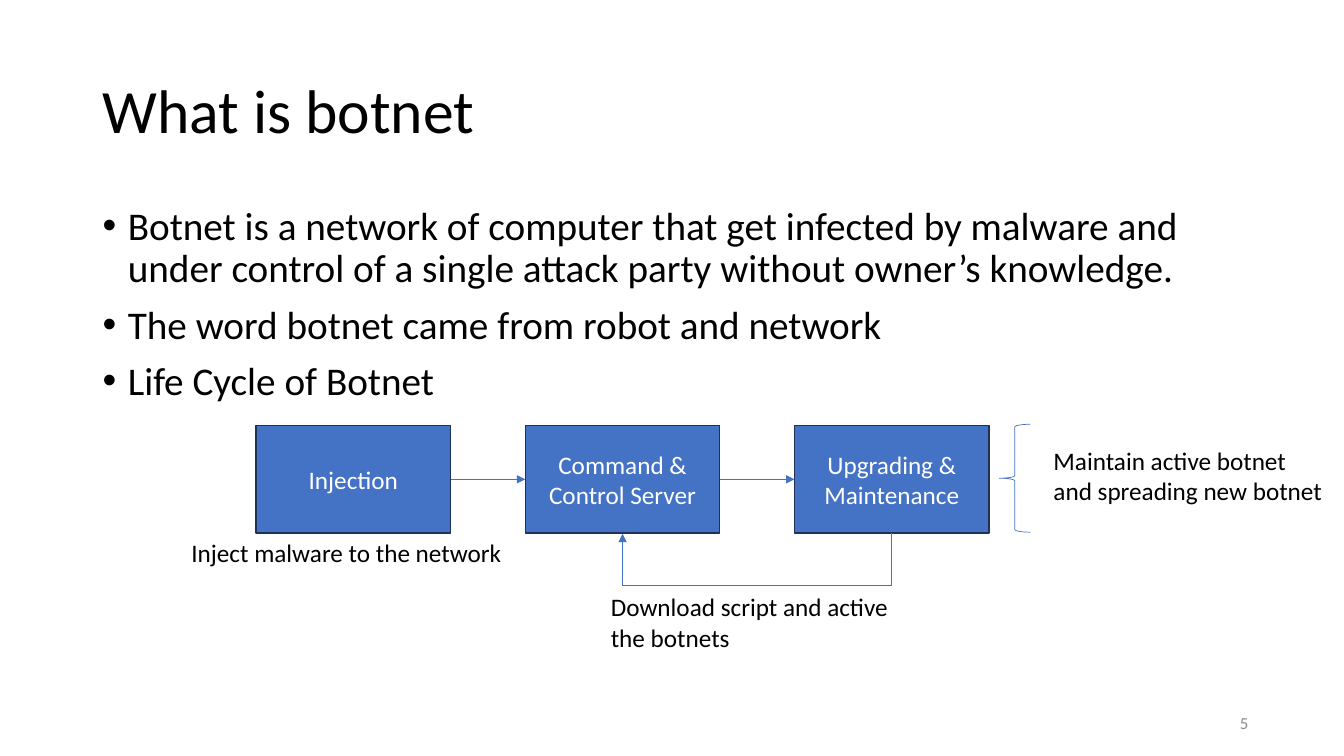
from itertools import pairwise
from pptx import Presentation
from pptx.dml.color import RGBColor
from pptx.enum.shapes import MSO_CONNECTOR, MSO_SHAPE
from pptx.enum.text import MSO_ANCHOR, PP_ALIGN
from pptx.oxml.ns import qn
from pptx.util import Inches, Pt
from lxml.etree import SubElement

BLACK = RGBColor(0x00, 0x00, 0x00)
WHITE = RGBColor(0xFF, 0xFF, 0xFF)
BLUE = RGBColor(0x44, 0x72, 0xC4)
NAVY = RGBColor(0x1E, 0x32, 0x56)
GRAY = RGBColor(0x8C, 0x8C, 0x8C)


class Deck:
    font = "Calibri"

    def __init__(self):
        self.prs = Presentation()
        self.prs.slide_width = Inches(13.33)
        self.prs.slide_height = Inches(7.5)
        self.slide = self.prs.slides.add_slide(self.prs.slide_layouts[6])

    def label(self, shape, lines, size=18, color=BLACK, align=PP_ALIGN.LEFT,
              anchor=MSO_ANCHOR.TOP, space=None, bullet=False):
        frame = shape.text_frame
        frame.word_wrap = True
        frame.vertical_anchor = anchor
        for num, line in enumerate(lines):
            para = frame.add_paragraph() if num else frame.paragraphs[0]
            para.alignment = align
            para.line_spacing = space
            run = para.add_run()
            run.text = line
            run.font.name = self.font
            run.font.size = Pt(size)
            run.font.color.rgb = color
            if bullet:
                self.dot(para)

    def dot(self, para):
        para.space_before = Pt(10)
        props = para._p.get_or_add_pPr()
        props.set("marL", str(Inches(0.25)))
        props.set("indent", str(-Inches(0.25)))
        SubElement(props, qn("a:buFont"), typeface="Arial")
        SubElement(props, qn("a:buChar"), char="•")

    def text(self, left, top, width, height, lines, **style):
        box = self.slide.shapes.add_textbox(
            Inches(left), Inches(top), Inches(width), Inches(height))
        self.label(box, lines, **style)

    def shape(self, kind, left, top, width, height, fill, edge, weight=1):
        shape = self.slide.shapes.add_shape(
            kind, Inches(left), Inches(top), Inches(width), Inches(height))
        shape.shadow.inherit = False
        if fill is None:
            shape.fill.background()
        else:
            shape.fill.solid()
            shape.fill.fore_color.rgb = fill
        shape.line.color.rgb = edge
        shape.line.width = Pt(weight)
        return shape

    def arrow(self, kind):
        link = self.slide.shapes.add_connector(kind, 0, 0, 0, 0)
        link.line.color.rgb = BLUE
        link.line.width = Pt(0.5)
        props = link._element.spPr
        SubElement(props.find(qn("a:ln")), qn("a:tailEnd"), type="triangle")
        SubElement(props, qn("a:effectLst"))
        return link

    def join(self, start, end):
        link = self.arrow(MSO_CONNECTOR.STRAIGHT)
        link.begin_connect(start, 3)
        link.end_connect(end, 1)

    def loop(self, start, end, drop):
        link = self.arrow(MSO_CONNECTOR.ELBOW)
        span = start.left - end.left
        thin = Inches(0.01)
        link.width, link.height = thin, span
        link.left = end.left + (end.width + span - thin) // 2
        link.top = end.top + end.height - span // 2
        props = link._element.spPr
        props.find(qn("a:xfrm")).set("rot", "5400000")
        guides = props.find(qn("a:prstGeom")).get_or_add_avLst()
        ratio = round(Inches(drop) / thin * 100000)
        SubElement(guides, qn("a:gd"), name="adj1", fmla=f"val {ratio}")


def main():
    deck = Deck()
    deck.text(0.92, 0.4, 11.5, 1.45, ["What is botnet"], size=44,
              anchor=MSO_ANCHOR.MIDDLE, space=0.9)
    deck.text(0.92, 2, 11.5, 4.76, [
        "Botnet is a network of computer that get infected by malware and "
        "under control of a single attack party without owner’s knowledge.",
        "The word botnet came from robot and network",
        "Life Cycle of Botnet",
    ], size=28, space=0.9, bullet=True)

    steps = []
    for num, name in enumerate(["Injection", "Command & Control Server",
                                "Upgrading & Maintenance"]):
        step = deck.shape(MSO_SHAPE.RECTANGLE, 2.54 + 2.67 * num, 4.22,
                          1.93, 1.07, BLUE, NAVY)
        deck.label(step, [name], color=WHITE, align=PP_ALIGN.CENTER,
                   anchor=MSO_ANCHOR.MIDDLE)
        steps.append(step)
    for start, end in pairwise(steps):
        deck.join(start, end)
    deck.loop(steps[2], steps[1], 0.53)

    deck.text(1.8, 5.28, 3.32, 0.4, ["Inject malware to the network"])
    deck.text(5.96, 5.82, 3.32, 0.71, ["Download script and active the botnets"])
    note = deck.shape(MSO_SHAPE.RECTANGLE, 10.35, 4.37, 2.88, 0.71, WHITE, WHITE)
    deck.label(note, ["Maintain active botnet and spreading new botnet"])
    deck.shape(MSO_SHAPE.LEFT_BRACE, 9.91, 4.21, 0.31, 1.07, None, BLUE, 0.5)
    deck.text(9.48, 6.97, 3, 0.4, ["5"], size=12, color=GRAY,
              align=PP_ALIGN.RIGHT, anchor=MSO_ANCHOR.MIDDLE)
    deck.prs.save("out.pptx")


if __name__ == "__main__":
    main()
